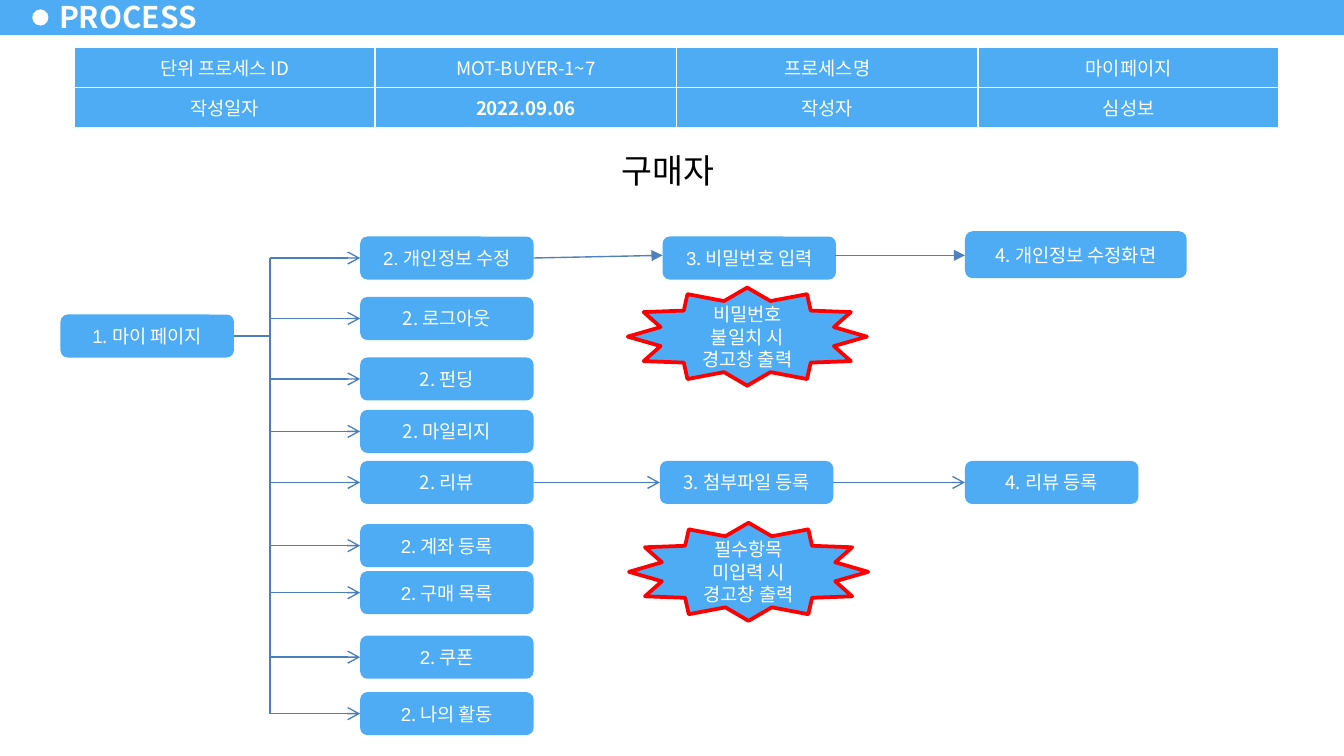
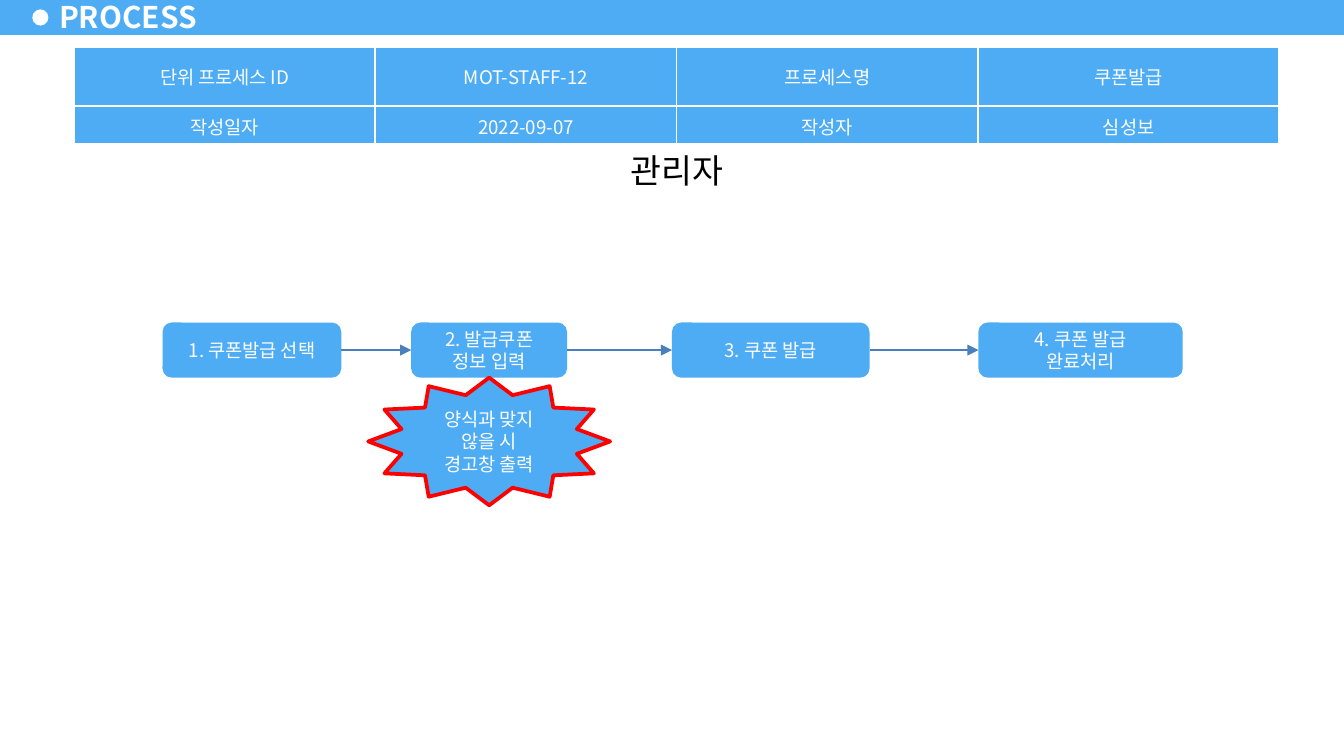
from lxml.etree import SubElement
from pptx import Presentation
from pptx.dml.color import RGBColor
from pptx.enum.shapes import MSO_CONNECTOR, MSO_SHAPE
from pptx.enum.text import MSO_ANCHOR, PP_ALIGN
from pptx.oxml import parse_xml
from pptx.oxml.ns import nsdecls, qn
from pptx.util import Inches, Pt

# Shared style
SLIDE_W = 10
SLIDE_H = SLIDE_W * 9 / 16
BLUE, WHITE, BLACK, RED = "4DACF3", "FFFFFF", "000000", "FF0000"
LINK, LINK_ALT = "4B7EBC", "4F81BD"
SANS, DIGIT = "Noto Sans CJK KR", "Arial"
TABLE_LEFT, TABLE_TOP, TABLE_WIDTH = 0.55, 0.35, 8.97
STEP_W, STEP_H = 1.29, 0.32

# Buyer content
BUYER_INFO = [["단위 프로세스 ID", "MOT-BUYER-1~7", "프로세스명", "마이페이지"],
              ["작성일자", "2022.09.06", "작성자", "심성보"]]
MENU_LEFT, TRUNK_X = 2.68, 2.01
MY_PAGE = (0.45, 2.34, STEP_W, STEP_H)
MENU = [  # text, top, count of leading characters in the digit font
    ("2. 개인정보 수정", 1.76, 10), ("2. 로그아웃", 2.21, 0), ("2. 펀딩", 2.66, 0),
    ("2. 마일리지", 3.05, 0), ("2. 리뷰", 3.43, 0), ("2. 계좌 등록", 3.9, 1),
    ("2. 구매 목록", 4.25, 1), ("2. 쿠폰", 4.73, 1), ("2. 나의 활동", 5.15, 1)]
BUYER_STEPS = [
    ("3. 비밀번호 입력", (4.93, 1.76, STEP_W, STEP_H), 1),
    ("4. 개인정보 수정화면", (7.18, 1.72, 1.65, 0.35), 0),
    ("3. 첨부파일 등록", (4.91, 3.43, STEP_W, STEP_H), 0),
    ("4. 리뷰 등록", (7.18, 3.43, STEP_W, STEP_H), 0)]
BUYER_WARNINGS = [("비밀번호\v불일치 시\v경고창 출력", (4.67, 2.14, 1.78, 0.73)),
                  ("필수항목\v미입력 시\v경고창 출력", (4.68, 3.89, 1.78, 0.73))]
BUYER_LINKS = [((3.97, 1.92), (4.93, 1.9), LINK_ALT, "triangle"),
               ((6.21, 1.9), (7.18, 1.9), LINK_ALT, "triangle"),
               ((3.97, 3.59), (4.91, 3.59), LINK, "arrow"),
               ((6.2, 3.59), (7.18, 3.59), LINK, "arrow")]

# Staff content
STAFF_INFO = [["단위 프로세스 ID", "MOT-STAFF-12", "프로세스명", "쿠폰발급"],
              ["작성일자", "2022-09-07", "작성자", "심성보"]]
STAFF_TOP, STAFF_H = 2.4, 0.41
STAFF_STEPS = [("1. 쿠폰발급 선택", 1.21, 1.33), ("2. 발급쿠폰\n정보 입력", 3.06, 1.16),
               ("3. 쿠폰 발급", 5, 1.47), ("4. 쿠폰 발급\n완료처리", 7.28, 1.52)]
STAFF_WARNING = ("양식과 맞지\v않을 시\v경고창 출력", (2.74, 2.81, 1.8, 0.95))


def rgb(code):
    return RGBColor.from_string(code)


def style_run(run, size, color, font=SANS, bold=False):
    run.font.size, run.font.bold, run.font.name = Pt(size), bold, font
    run.font.color.rgb = rgb(color)
    SubElement(run.font._element, qn("a:ea")).set("typeface", SANS)


def write(frame, text, size=10, color=WHITE, align=PP_ALIGN.CENTER, bold=False, digits=0):
    """Fill a text frame; the first `digits` characters use the digit font."""
    frame.text = text
    for paragraph in frame.paragraphs:
        paragraph.alignment = align
        if digits:
            paragraph.text = text[:digits]
            if text[digits:]:
                paragraph.add_run().text = text[digits:]
        for index, run in enumerate(paragraph.runs):
            style_run(run, size, color, DIGIT if digits and index == 0 else SANS, bold)


def add_box(slide, kind, place, fill=BLUE, outline=None):
    box = slide.shapes.add_shape(kind, *map(Inches, place))
    box.shadow.inherit = False
    box.fill.solid()
    box.fill.fore_color.rgb = rgb(fill)
    if outline:
        box.line.color.rgb, box.line.width = rgb(outline), Pt(2)
    else:
        box.line.fill.background()
    box.text_frame.word_wrap = True
    box.text_frame.vertical_anchor = MSO_ANCHOR.MIDDLE
    return box


def add_step(slide, text, place, digits=0):
    step = add_box(slide, MSO_SHAPE.ROUNDED_RECTANGLE, place)
    write(step.text_frame, text, digits=digits)


def add_warning(slide, text, place):
    star = add_box(slide, MSO_SHAPE.STAR_12_POINT, place, outline=RED)
    frame = star.text_frame
    frame.margin_left = frame.margin_right = frame.margin_top = frame.margin_bottom = 0
    write(frame, text)


def add_link(slide, start, end, color=LINK, head=None):
    link = slide.shapes.add_connector(MSO_CONNECTOR.STRAIGHT, *map(Inches, start + end))
    link.line.color.rgb, link.line.width = rgb(color), Pt(0.75)
    if head:
        SubElement(link.line._get_or_add_ln(), qn("a:tailEnd")).set("type", head)
    SubElement(link._element.spPr, qn("a:effectLst"))


def add_info_table(slide, rows, heights):
    frame = slide.shapes.add_table(
        len(rows), len(rows[0]), *map(Inches, (TABLE_LEFT, TABLE_TOP, TABLE_WIDTH, sum(heights))))
    for row, height, texts in zip(frame.table.rows, heights, rows):
        row.height = Inches(height)
        for cell, text in zip(row.cells, texts):
            cell.fill.solid()
            cell.fill.fore_color.rgb = rgb(BLUE)
            cell.vertical_anchor = MSO_ANCHOR.MIDDLE
            write(cell.text_frame, text, bold=text == "2022.09.06")
            for index, side in enumerate(("lnL", "lnR", "lnT", "lnB")):
                cell._tc.get_or_add_tcPr().insert(index, parse_xml(
                    f'<a:{side} {nsdecls("a")} w="12700"><a:solidFill>'
                    f'<a:srgbClr val="{WHITE}"/></a:solidFill></a:{side}>'))


def start_slide(deck, info, heights, role, role_place, align, indent=0):
    """Add the band, its title, the information table and the role heading."""
    slide = deck.slides.add_slide(deck.slide_layouts[6])
    add_box(slide, MSO_SHAPE.RECTANGLE, (0, -0.02, SLIDE_W, 0.28))
    add_box(slide, MSO_SHAPE.OVAL, (0.24, 0.07, 0.12, 0.12), WHITE)
    title = slide.shapes.add_textbox(*map(Inches, (0.35, -0.04, 1.22, 0.32))).text_frame
    title.word_wrap, title.vertical_anchor = True, MSO_ANCHOR.MIDDLE
    title.margin_left = title.margin_right = Inches(0.09)
    title.margin_top = title.margin_bottom = Inches(0.04)
    write(title, "PROCESS", 16, align=PP_ALIGN.LEFT, bold=True)
    heading = add_box(slide, MSO_SHAPE.RECTANGLE, role_place, WHITE).text_frame
    heading.vertical_anchor = MSO_ANCHOR.TOP
    write(heading, role, 18, BLACK, align)
    heading.paragraphs[0]._p.get_or_add_pPr().set("marL", str(Inches(indent)))
    add_info_table(slide, info, heights)
    return slide


def build_buyer(deck):
    slide = start_slide(deck, BUYER_INFO, (0.3, 0.3), "구매자",
                        (3.97, 1.07, 3.66, 0.4), PP_ALIGN.LEFT, 0.56)
    add_step(slide, "1. 마이 페이지", MY_PAGE, 1)
    # Menu tree: trunk above and below the root, branches and entries
    middles = [top + STEP_H / 2 for _, top, _ in MENU]
    root_y = MY_PAGE[1] + STEP_H / 2
    add_link(slide, (MY_PAGE[0] + STEP_W, root_y), (TRUNK_X, root_y))
    for end_y in (middles[0], middles[-1]):
        add_link(slide, (TRUNK_X, root_y), (TRUNK_X, end_y))
    for (text, top, digits), middle in zip(MENU, middles):
        add_step(slide, text, (MENU_LEFT, top, STEP_W, STEP_H), digits)
        add_link(slide, (TRUNK_X, middle), (MENU_LEFT, middle), head="arrow")
    # Follow-up steps
    for step in BUYER_STEPS:
        add_step(slide, *step)
    for warning in BUYER_WARNINGS:
        add_warning(slide, *warning)
    for link in BUYER_LINKS:
        add_link(slide, *link)


def build_staff(deck):
    slide = start_slide(deck, STAFF_INFO, (0.44, 0.28), "관리자",
                        (3.25, 1.07, 3.57, 0.4), PP_ALIGN.CENTER)
    for text, left, width in STAFF_STEPS:
        add_step(slide, text, (left, STAFF_TOP, width, STAFF_H))
    add_warning(slide, *STAFF_WARNING)
    middle = STAFF_TOP + STAFF_H / 2
    for (_, left, width), (_, next_left, _) in zip(STAFF_STEPS, STAFF_STEPS[1:]):
        add_link(slide, (left + width, middle), (next_left, middle), head="triangle")


def main():
    deck = Presentation()
    deck.slide_width, deck.slide_height = Inches(SLIDE_W), Inches(SLIDE_H)
    build_buyer(deck)
    build_staff(deck)
    deck.save("out.pptx")


if __name__ == "__main__":
    main()
